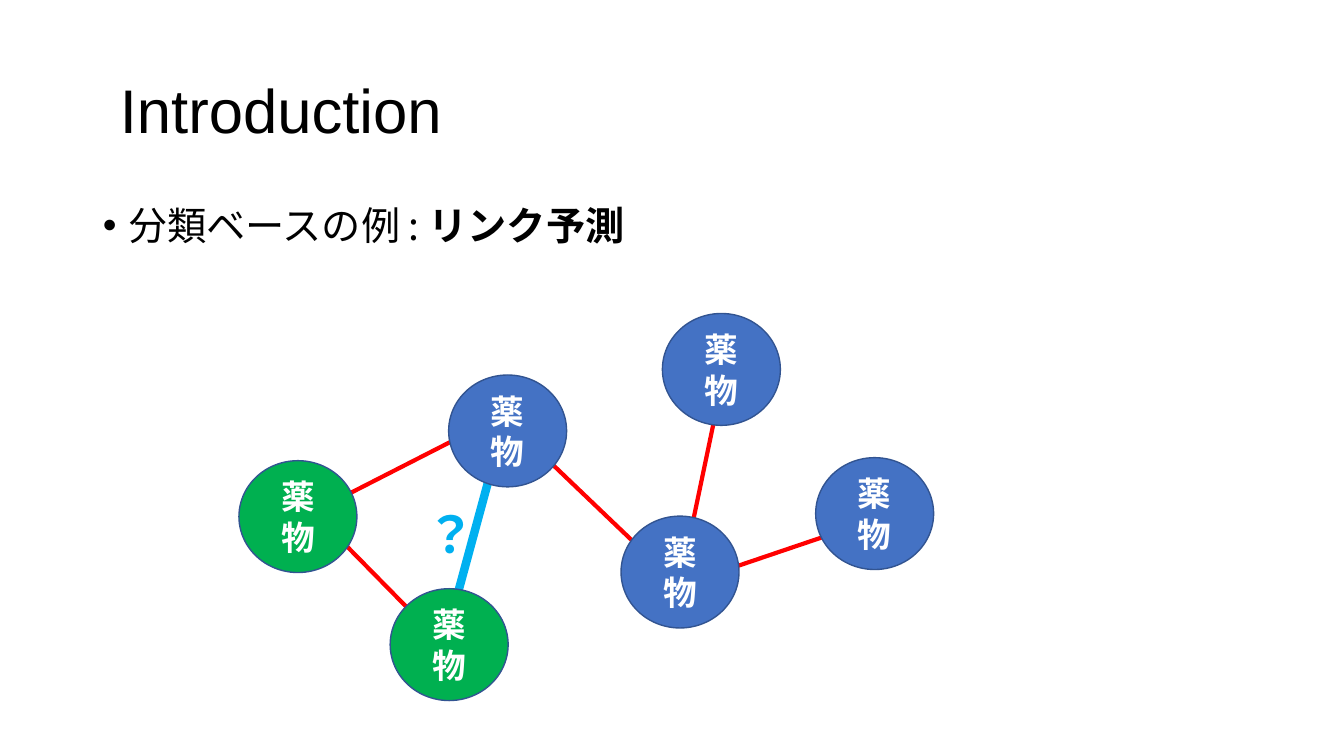
from dataclasses import dataclass

from lxml.etree import SubElement
from pptx import Presentation
from pptx.dml.color import RGBColor
from pptx.enum.shapes import MSO_CONNECTOR, MSO_SHAPE
from pptx.enum.text import MSO_ANCHOR, MSO_AUTO_SIZE, PP_ALIGN
from pptx.oxml.ns import qn
from pptx.util import Inches, Pt


@dataclass(frozen=True)
class Theme:
    latin: str = "Arial"
    asian: str = "Noto Sans CJK JP"
    black: str = "000000"
    white: str = "FFFFFF"
    blue: str = "4472C4"
    green: str = "00B050"
    rim: str = "325491"
    red: str = "FF0000"
    sky: str = "00B0F0"
    title: int = 44
    body: int = 28
    node: int = 24
    mark: int = 36


THEME = Theme()
WIDE, HIGH = 1.17, 1.11  # drug node size

# Node corners, relative to the graph box
NODES = [
    (2.08, 0.61, THEME.blue),
    (0, 1.46, THEME.green),
    (5.72, 1.43, THEME.blue),
    (1.5, 2.73, THEME.green),
    (3.79, 2.01, THEME.blue),
    (4.2, 0, THEME.blue),
]

# Link ends, relative to the graph box; they stop beneath the nodes
LINKS = [
    (0.54, 1.77, 2.26, 3.52),
    (4.37, 2.7, 6.2, 2.08),
    (4.2, 2.54, 2.82, 1.22),
    (4.37, 2.7, 4.78, 0.74),
    (0.99, 1.84, 2.42, 1.11),
]
GUESS = (2.08, 3.11, 2.58, 1.27)


def color(code):
    return RGBColor.from_string(code)


def add_run(para, text, size, code, font=THEME.asian, bold=False):
    run = para.add_run()
    run.text = text
    run.font.size = Pt(size)
    run.font.bold = bold
    run.font.name = font
    run.font.color.rgb = color(code)
    SubElement(run.font._element, qn("a:ea"), typeface=font)


def place(shape, box):
    shape.left, shape.top, shape.width, shape.height = map(Inches, box)


def add_title(slide, box):
    shape = slide.shapes.title
    place(shape, box)
    frame = shape.text_frame
    frame.auto_size = MSO_AUTO_SIZE.NONE
    frame.vertical_anchor = MSO_ANCHOR.MIDDLE
    para = frame.paragraphs[0]
    para.alignment = PP_ALIGN.LEFT
    para.line_spacing = 0.9
    add_run(para, " Introduction", THEME.title, THEME.black, THEME.latin)


def add_body(slide, box):
    shape = slide.placeholders[1]
    place(shape, box)
    frame = shape.text_frame
    frame.auto_size = MSO_AUTO_SIZE.NONE
    para = frame.paragraphs[0]
    para.line_spacing = 0.9
    para.space_before = Pt(10)
    props = para._p.get_or_add_pPr()
    props.set("marL", str(Inches(0.25)))
    props.set("indent", str(Inches(-0.25)))
    SubElement(props, qn("a:buFont"), typeface=THEME.latin)
    SubElement(props, qn("a:buChar"), char="•")
    add_run(para, "分類ベースの例 : ", THEME.body, THEME.black)
    add_run(para, "リンク予測", THEME.body, THEME.black, bold=True)


def add_link(slide, left, top, ends, code, width):
    x1, y1, x2, y2 = ends
    link = slide.shapes.add_connector(
        MSO_CONNECTOR.STRAIGHT, Inches(left + x1), Inches(top + y1),
        Inches(left + x2), Inches(top + y2))
    link.line.color.rgb = color(code)
    link.line.width = Pt(width)
    SubElement(link._element.spPr, qn("a:effectLst"))


def add_node(slide, left, top, code):
    node = slide.shapes.add_shape(
        MSO_SHAPE.OVAL, *map(Inches, (left, top, WIDE, HIGH)))
    node.shadow.inherit = False
    node.fill.solid()
    node.fill.fore_color.rgb = color(code)
    node.line.color.rgb = color(THEME.rim)
    node.line.width = Pt(1)
    frame = node.text_frame
    frame.word_wrap = True
    frame.vertical_anchor = MSO_ANCHOR.MIDDLE
    para = frame.paragraphs[0]
    para.alignment = PP_ALIGN.CENTER
    add_run(para, "薬物", THEME.node, THEME.white, bold=True)


def add_mark(slide, box):
    frame = slide.shapes.add_textbox(*map(Inches, box)).text_frame
    frame.word_wrap = False
    frame.auto_size = MSO_AUTO_SIZE.SHAPE_TO_FIT_TEXT
    add_run(frame.paragraphs[0], "？", THEME.mark, THEME.sky, bold=True)


def add_graph(slide, left, top):
    # Known links, then the one to predict
    for ends in LINKS:
        add_link(slide, left, top, ends, THEME.red, 3)
    add_link(slide, left, top, GUESS, THEME.sky, 6)
    # Drug nodes cover the link ends
    for x, y, code in NODES:
        add_node(slide, left + x, top + y, code)
    add_mark(slide, (left + 1.75, top + 1.83, 0.71, 0.71))


def main():
    deck = Presentation()
    deck.slide_width, deck.slide_height = Inches(13.33), Inches(7.5)
    slide = deck.slides.add_slide(deck.slide_layouts[1])
    add_title(slide, (0.92, 0.4, 11.5, 1.45))
    add_body(slide, (0.92, 2, 11.5, 0.64))
    add_graph(slide, 2.37, 3.11)
    deck.save("out.pptx")


if __name__ == "__main__":
    main()
